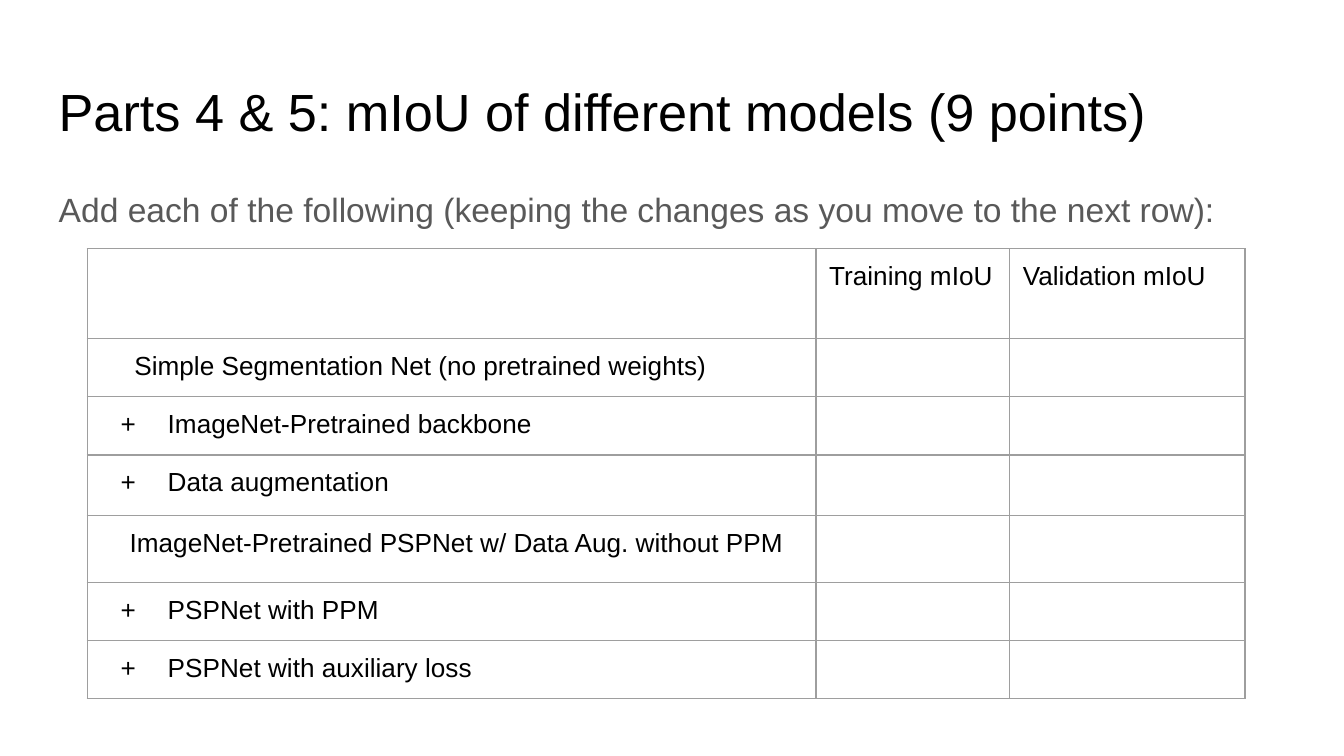
from dataclasses import dataclass

from lxml.etree import SubElement
from pptx import Presentation
from pptx.dml.color import RGBColor
from pptx.enum.text import MSO_ANCHOR as Anchor, MSO_AUTO_SIZE as AutoSize, PP_ALIGN as Align
from pptx.oxml.ns import qn
from pptx.slide import Slide
from pptx.table import _Cell as Cell
from pptx.text.text import TextFrame, _Paragraph as Paragraph
from pptx.util import Cm, Pt

FONT = "Arial"
BLACK = RGBColor(0x00, 0x00, 0x00)
GRAY = RGBColor(0x59, 0x59, 0x59)
BORDER = RGBColor(0x9E, 0x9E, 0x9E)
INSET = Cm(0.25)
COLUMN_WIDTHS = (13.77, 3.66, 4.45)


@dataclass(frozen=True)
class Row:
    """A table row; lengths in centimetres."""
    label: str = ""
    height: float = 1.1
    indent: float = 0
    hanging: float = 0
    bullet: str = ""
    results: tuple[str, str] = ("", "")


def added_step(label: str, height: float = 1.1) -> Row:
    return Row(label, height, indent=1.27, hanging=0.89, bullet="+")


ROWS = (
    Row(height=1.7, results=("Training mIoU", "Validation mIoU")),
    Row("Simple Segmentation Net (no pretrained weights)", indent=0.64),
    added_step("ImageNet-Pretrained backbone"),
    added_step("Data augmentation", height=1.15),
    Row("ImageNet-Pretrained PSPNet w/ Data Aug. without PPM", height=1.26, indent=0.55),
    added_step("PSPNet with PPM"),
    added_step("PSPNet with auxiliary loss"),
)


def set_bullet(paragraph: Paragraph, indent: float, hanging: float, bullet: str) -> None:
    properties = paragraph._p.get_or_add_pPr()
    properties.set("marL", str(Cm(indent)))
    properties.set("indent", str(-Cm(hanging)))
    if bullet:
        SubElement(properties, qn("a:buFont"), typeface=FONT)
        SubElement(properties, qn("a:buChar"), char=bullet)
    else:
        SubElement(properties, qn("a:buNone"))


def write_text(frame: TextFrame, text: str, *, size: float, color: RGBColor = BLACK,
               line_spacing: float = 1.0, indent: float = 0, hanging: float = 0,
               bullet: str = "") -> None:
    frame.word_wrap = True
    paragraph = frame.paragraphs[0]
    paragraph.alignment = Align.LEFT
    paragraph.line_spacing = line_spacing
    paragraph.space_before = Pt(0)
    set_bullet(paragraph, indent, hanging, bullet)
    run = paragraph.add_run()
    run.text = text
    run.font.name = FONT
    run.font.size = Pt(size)
    run.font.color.rgb = color


def fill_placeholder(slide: Slide, index: int, text: str, *, top: float, height: float,
                     **text_format) -> None:
    shape = slide.placeholders[index]
    shape.left, shape.top = Cm(0.86), Cm(top)
    shape.width, shape.height = Cm(23.67), Cm(height)
    frame = shape.text_frame
    frame.auto_size = AutoSize.NONE
    frame.vertical_anchor = Anchor.TOP
    frame.margin_left = frame.margin_right = INSET
    frame.margin_top = frame.margin_bottom = INSET
    write_text(frame, text, **text_format)


def style_cell(cell: Cell) -> None:
    properties = cell._tc.get_or_add_tcPr()
    for side in ("lnL", "lnR", "lnT", "lnB"):
        line = SubElement(properties, qn(f"a:{side}"), w=str(Pt(0.75)))
        fill = SubElement(line, qn("a:solidFill"))
        SubElement(fill, qn("a:srgbClr"), val=str(BORDER))
    cell.fill.background()


def write_cell(cell: Cell, text: str, **text_format) -> None:
    style_cell(cell)
    if text:
        cell.margin_left = cell.margin_right = INSET
        cell.margin_top = cell.margin_bottom = INSET
        write_text(cell.text_frame, text, size=14, **text_format)


def add_results_table(slide: Slide) -> None:
    width, height = sum(COLUMN_WIDTHS), sum(row.height for row in ROWS)
    table = slide.shapes.add_table(len(ROWS), len(COLUMN_WIDTHS), Cm(1.65), Cm(4.7),
                                   Cm(width), Cm(height)).table
    table.first_row = table.horz_banding = False
    for column, column_width in zip(table.columns, COLUMN_WIDTHS):
        column.width = Cm(column_width)
    for index, row in enumerate(ROWS):
        table.rows[index].height = Cm(row.height)
        write_cell(table.cell(index, 0), row.label, indent=row.indent,
                   hanging=row.hanging, bullet=row.bullet)
        for column_index, result in enumerate(row.results, start=1):
            write_cell(table.cell(index, column_index), result)


def main() -> None:
    presentation = Presentation()
    presentation.slide_width, presentation.slide_height = Cm(25.4), Cm(14.29)
    slide = presentation.slides.add_slide(presentation.slide_layouts[1])

    # Title and introduction
    fill_placeholder(slide, 0, "Parts 4 & 5: mIoU of different models (9 points)",
                     top=1.24, height=1.6, size=28)
    fill_placeholder(slide, 1, "Add each of the following (keeping the changes as you "
                     "move to the next row):", top=3.2, height=9.5, size=18,
                     color=GRAY, line_spacing=1.15)

    # Models and their results
    add_results_table(slide)
    presentation.save("out.pptx")


if __name__ == "__main__":
    main()
